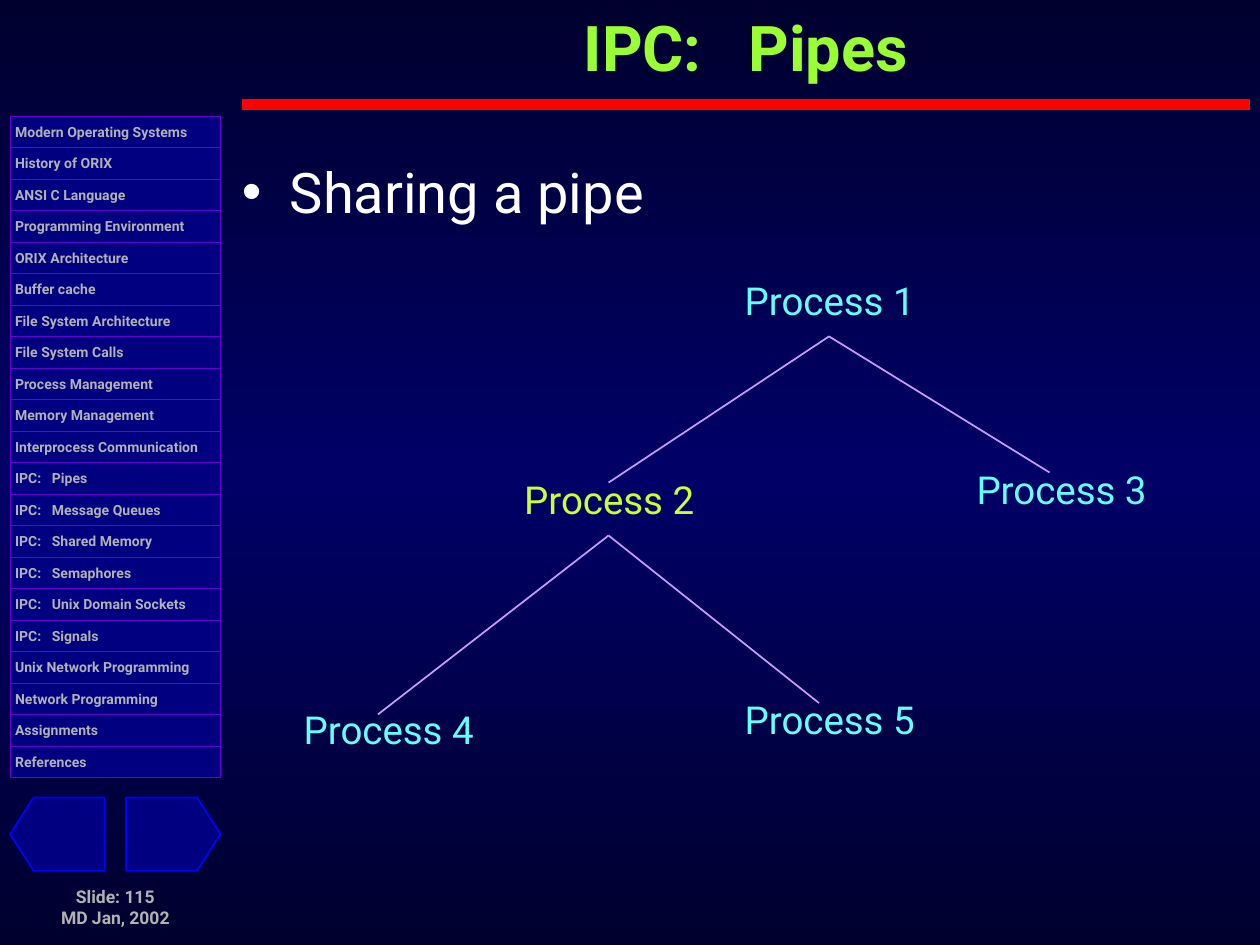
import copy

import lxml.etree
import pptx
import pptx.dml.color
import pptx.enum.shapes
import pptx.enum.text
import pptx.oxml.ns
import pptx.util
from pptx.util import Inches

FONT = "Roboto"
NAVY = "000080"
GREY = "B2B2B2"
CYAN = "66FFFF"
LIME = "CCFF33"
TOPICS = [
    "Modern Operating Systems", "History of ORIX", "ANSI C Language",
    "Programming Environment", "ORIX Architecture", "Buffer cache",
    "File System Architecture", "File System Calls", "Process Management",
    "Memory Management", "Interprocess Communication", "IPC:   Pipes",
    "IPC:   Message Queues", "IPC:   Shared Memory", "IPC:   Semaphores",
    "IPC:   Unix Domain Sockets", "IPC:   Signals",
    "Unix Network Programming", "Network Programming", "Assignments",
    "References",
]
# Offsets from the top left corner of the tree
PROCESSES = [
    ("Process 1", 3.5, 0, CYAN),
    ("Process 2", 1.75, 1.58, LIME),
    ("Process 3", 5.34, 1.5, CYAN),
    ("Process 4", 0, 3.41, CYAN),
    ("Process 5", 3.5, 3.33, CYAN),
]
BRANCHES = [
    ((4.25, 0.5), (2.5, 1.66)),
    ((4.25, 0.5), (6, 1.58)),
    ((2.5, 2.08), (0.67, 3.5)),
    ((2.5, 2.08), (4.17, 3.41)),
]


def color(value):
    return pptx.dml.color.RGBColor.from_string(value)


def format_frame(frame, insets, anchor="TOP", wrap=True):
    frame.auto_size = pptx.enum.text.MSO_AUTO_SIZE.NONE
    frame.word_wrap = wrap
    frame.vertical_anchor = getattr(pptx.enum.text.MSO_ANCHOR, anchor)
    (frame.margin_left, frame.margin_top,
     frame.margin_right, frame.margin_bottom) = map(Inches, insets)


def format_paragraph(paragraph, size, font_color, bold=False, align="LEFT"):
    paragraph.alignment = getattr(pptx.enum.text.PP_ALIGN, align)
    paragraph.space_before = pptx.util.Pt(0)
    font = paragraph.font
    font.name, font.size, font.bold = FONT, pptx.util.Pt(size), bold
    font.color.rgb = color(font_color)


def place(shape, left, top, width, height):
    shape.left, shape.top = Inches(left), Inches(top)
    shape.width, shape.height = Inches(width), Inches(height)


def add_box(slide, kind, box, line_color, line_width):
    shape = slide.shapes.add_shape(kind, *map(Inches, box))
    shape.shadow.inherit = False
    shape.fill.solid()
    shape.fill.fore_color.rgb = color(NAVY)
    shape.line.color.rgb = color(line_color)
    shape.line.width = pptx.util.Pt(line_width)
    return shape


def add_line(slide, start, end, line_color, width):
    line = slide.shapes.add_connector(
        pptx.enum.shapes.MSO_CONNECTOR.STRAIGHT, *map(Inches, start + end))
    line.line.color.rgb = color(line_color)
    line.line.width = pptx.util.Pt(width)
    properties = line.element.spPr
    lxml.etree.SubElement(properties, pptx.oxml.ns.qn("a:effectLst"))


def set_background(slide):
    fill = slide.background.fill
    fill.gradient()
    fill.gradient_angle = 270
    stop_list = slide.element.find(".//" + pptx.oxml.ns.qn("a:gsLst"))
    stop_list.insert(1, copy.deepcopy(stop_list[0]))
    stops = [(0, "00002F"), (0.5, "000066"), (1, "00002F")]
    for stop, (position, value) in zip(fill.gradient_stops, stops):
        stop.position = position
        stop.color.rgb = color(value)


def add_topics(slide, left, top, width, height):
    row_height = height / len(TOPICS)
    for row, topic in enumerate(TOPICS):
        box = (left, top + row * row_height, width, row_height)
        shape = add_box(slide, pptx.enum.shapes.MSO_SHAPE.RECTANGLE, box,
                        "6600CC", 0.25)
        format_frame(shape.text_frame, (0.04, 0.06, 0.02, 0))
        shape.text_frame.text = topic
        format_paragraph(shape.text_frame.paragraphs[0], 8, GREY, bold=True)


def add_navigation(slide, left, top, width, height):
    """Place the back and forward arrows at the two ends of the box."""
    arrow_width = 0.75
    for arrow_left, rotation in ((left, 180), (left + width - arrow_width, 0)):
        arrow = add_box(slide, pptx.enum.shapes.MSO_SHAPE.PENTAGON,
                        (arrow_left, top, arrow_width, height), "0000FF", 1)
        arrow.adjustments[0] = 0.32
        arrow.rotation = rotation


def add_footer(slide, *box):
    frame = slide.shapes.add_textbox(*map(Inches, box)).text_frame
    format_frame(frame, (0.02, 0.03, 0.02, 0))
    frame.text = "Slide: 115\nMD Jan, 2002"
    for paragraph in frame.paragraphs:
        format_paragraph(paragraph, 10, GREY, bold=True, align="CENTER")


def fill_title(slide, left, top, width, height):
    title = slide.shapes.title
    place(title, left, top, width, height)
    format_frame(title.text_frame, (0.04,) * 4, "MIDDLE")
    title.text_frame.text = "IPC:   Pipes"
    format_paragraph(title.text_frame.paragraphs[0], 36, "99FF33",
                     bold=True, align="CENTER")
    add_line(slide, (left, 0.83), (left + width, 0.83), "FF0000", 6)


def fill_body(slide, *box):
    body = slide.placeholders[1]
    place(body, *box)
    format_frame(body.text_frame, (0,) * 4)
    body.text_frame.text = "Sharing a pipe"
    paragraph = body.text_frame.paragraphs[0]
    properties = paragraph._p.get_or_add_pPr()
    properties.set("marL", str(Inches(0.38)))
    properties.set("indent", str(Inches(-0.38)))
    bullet = lxml.etree.SubElement(properties, pptx.oxml.ns.qn("a:buChar"))
    bullet.set("char", "•")
    format_paragraph(paragraph, 32, "FFFFFF")


def add_process_tree(slide, left, top):
    for name, across, down, font_color in PROCESSES:
        box = (left + across, top + down, 1.42, 0.42)
        frame = slide.shapes.add_textbox(*map(Inches, box)).text_frame
        format_frame(frame, (0.08, 0.06, 0.08, 0.06), "MIDDLE", wrap=False)
        frame.text = name
        format_paragraph(frame.paragraphs[0], 22, font_color)
    for branch in BRANCHES:
        start, end = [(left + across, top + down) for across, down in branch]
        add_line(slide, start, end, "CC99FF", 1)


def main():
    presentation = pptx.Presentation()
    presentation.slide_width = Inches(10)
    presentation.slide_height = Inches(7.5)
    slide = presentation.slides.add_slide(presentation.slide_layouts[1])
    set_background(slide)
    add_topics(slide, 0.08, 0.92, 1.67, 5.25)
    add_navigation(slide, 0.08, 6.33, 1.67, 0.58)
    add_footer(slide, 0.08, 7, 1.67, 0.42)
    fill_title(slide, 1.92, 0.08, 8, 0.58)
    fill_body(slide, 1.92, 1.25, 8, 0.58)
    add_process_tree(slide, 2.33, 2.17)
    presentation.save("out.pptx")


if __name__ == "__main__":
    main()
